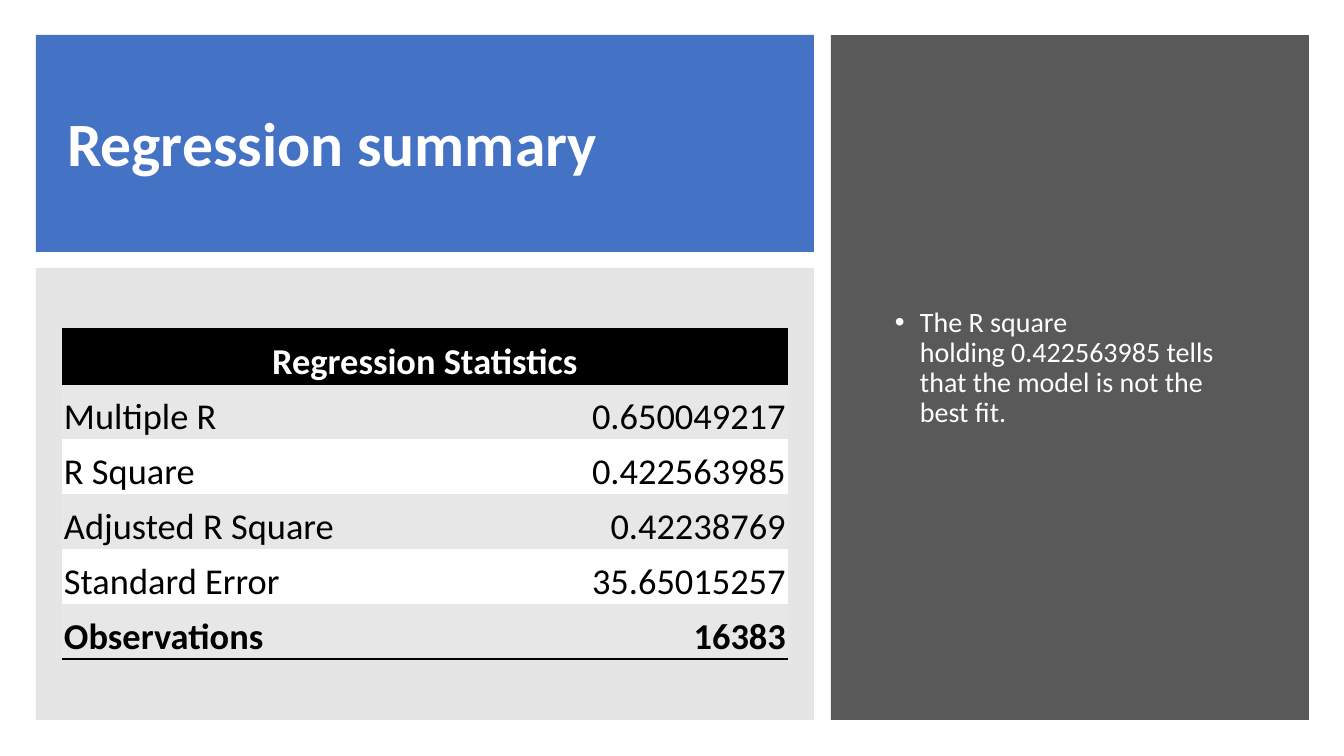
from lxml.etree import SubElement
from pptx import Presentation
from pptx.dml.color import RGBColor
from pptx.enum.shapes import MSO_SHAPE
from pptx.enum.text import MSO_ANCHOR, PP_ALIGN
from pptx.oxml import parse_xml
from pptx.oxml.ns import nsdecls, qn
from pptx.util import Pt

PIXEL = 914400 / 100.8
WHITE = RGBColor(0xFF, 0xFF, 0xFF)
BLACK = RGBColor(0x00, 0x00, 0x00)
BLUE = RGBColor(0x44, 0x72, 0xC4)
GRAY = RGBColor(0x7F, 0x7F, 0x7F)
DARK_GRAY = RGBColor(0x59, 0x59, 0x59)
BAND = RGBColor(0xE7, 0xE7, 0xE7)
PLAIN_TABLE = "{2D5ABB26-0587-4C30-8999-92F81FD0307C}"


def px(*lengths):
    """Turn pixel lengths into a list of EMU."""
    return [round(length * PIXEL) for length in lengths]


def add_span(para, text, size, color, bold=False):
    """Add one formatted run to a paragraph."""
    span = para.add_run()
    span.text = text
    span.font.name = "Calibri"
    span.font.size = Pt(size)
    span.font.bold = bold
    span.font.color.rgb = color


deck = Presentation()
deck.slide_width, deck.slide_height = px(1344, 756)
page = deck.slides.add_slide(deck.slide_layouts[5])

# Background panels
panels = []
for bounds, color in [
    ((36, 35, 778, 217), BLUE),
    ((36, 268, 778, 452), GRAY),
    ((831, 35, 478, 685), DARK_GRAY),
]:
    panel = page.shapes.add_shape(MSO_SHAPE.RECTANGLE, *px(*bounds))
    panel.shadow.inherit = False
    panel.fill.solid()
    panel.fill.fore_color.rgb = color
    panel.line.fill.background()
    panels.append(panel)
title_panel, table_panel, note_panel = panels
panel_color = table_panel._element.spPr.find(qn("a:solidFill"))[0]
SubElement(panel_color, qn("a:alpha"), val="20000")

# Title, stacked above its panel
title = page.shapes.title
title_panel._element.addnext(title._element)
title.left, title.top, title.width, title.height = px(57, 57, 727, 179)
title.text_frame.word_wrap = True
title.text_frame.vertical_anchor = MSO_ANCHOR.MIDDLE
para = title.text_frame.paragraphs[0]
para.alignment = PP_ALIGN.LEFT
para.line_spacing = 0.9
add_span(para, "Regression summary", 44, WHITE, True)

# Bulleted note
note = page.shapes.add_textbox(*px(885, 101, 378, 535))
note.text_frame.word_wrap = True
note.text_frame.vertical_anchor = MSO_ANCHOR.MIDDLE
para = note.text_frame.paragraphs[0]
para.line_spacing = 0.9
para.space_before = Pt(10)
properties = para._p.get_or_add_pPr()
indent = px(25)[0]
properties.set("marL", str(indent))
properties.set("indent", str(-indent))
SubElement(properties, qn("a:buFont"), typeface="Arial")
SubElement(properties, qn("a:buChar"), char="\u2022")
add_span(
    para,
    "The R square holding\u00a00.422563985\u00a0tells that the model is not the best fit.",
    20,
    WHITE,
)

# Regression table
statistics = [
    ("Regression Statistics", ""),
    ("Multiple R", "0.650049217"),
    ("R Square", "0.422563985"),
    ("Adjusted R Square", "0.42238769"),
    ("Standard Error", "35.65015257"),
    ("Observations", "16383"),
]
last = len(statistics) - 1
table = page.shapes.add_table(len(statistics), 2, *px(62, 329, 726, 330)).table
table._tbl.tblPr.find(qn("a:tableStyleId")).text = PLAIN_TABLE
table.first_row = table.horz_banding = False
table.cell(0, 0).merge(table.cell(0, 1))

for row, texts in enumerate(statistics):
    header = row == 0
    edges = {0: ("lnB", "lnT"), last: ("lnB",)}.get(row, ())
    for column, text in enumerate(texts):
        cell = table.cell(row, column)
        cell.margin_left, cell.margin_top, cell.margin_right, cell.margin_bottom = px(2, 2, 2, 0)
        cell.vertical_anchor = MSO_ANCHOR.BOTTOM
        cell.fill.solid()
        cell.fill.fore_color.rgb = BLACK if header else BAND if row % 2 else WHITE
        for edge in edges:
            border = parse_xml(
                f'<a:{edge} {nsdecls("a")} w="{Pt(2)}"><a:solidFill>'
                f'<a:srgbClr val="{BLACK}"/></a:solidFill></a:{edge}>'
            )
            cell._tc.get_or_add_tcPr().insert(0, border)
        if text:
            para = cell.text_frame.paragraphs[0]
            para.alignment = PP_ALIGN.CENTER if header else (PP_ALIGN.LEFT, PP_ALIGN.RIGHT)[column]
            add_span(para, text, 26, WHITE if header else BLACK, row in (0, last))

deck.save("out.pptx")
